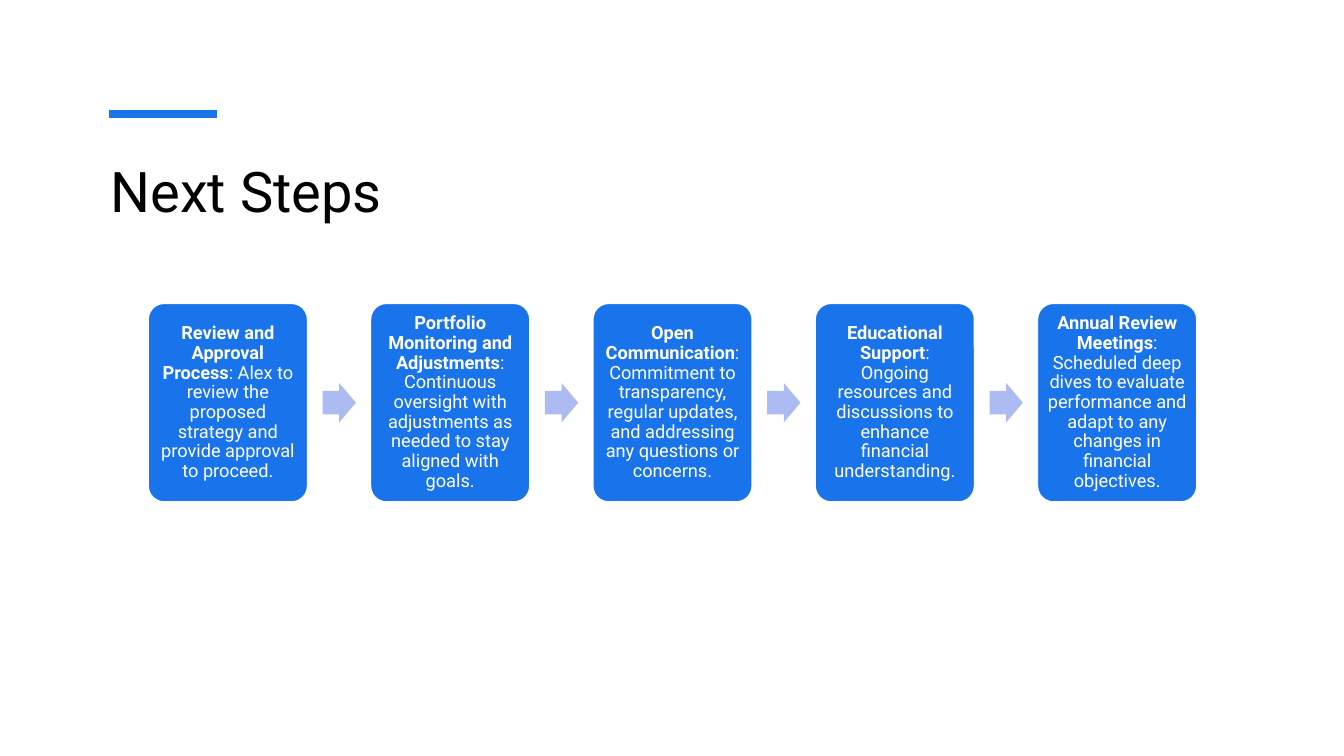
from pptx import Presentation
from pptx.dml.color import RGBColor
from pptx.enum.shapes import MSO_CONNECTOR, MSO_SHAPE
from pptx.enum.text import MSO_ANCHOR, PP_ALIGN
from pptx.oxml.ns import qn
from pptx.util import Inches, Pt
from lxml import etree

STRAIGHT = MSO_CONNECTOR.STRAIGHT
CARD = MSO_SHAPE.ROUNDED_RECTANGLE
ARROW = MSO_SHAPE.RIGHT_ARROW
TOP, MIDDLE = MSO_ANCHOR.TOP, MSO_ANCHOR.MIDDLE
CENTER = PP_ALIGN.CENTER

FONT = "Roboto"
COLORS = {"blue": "1973EB", "arrow": "ACBCF3", "white": "FFFFFF", "black": "000000"}
CARD_FRAME = {"word_wrap": True, "vertical_anchor": MIDDLE,
              "margin_left": Inches(0.05), "margin_right": Inches(0.05),
              "margin_top": Inches(0.05), "margin_bottom": Inches(0.05)}
TITLE_FRAME = {"word_wrap": True, "vertical_anchor": TOP}

STEPS = [
    ("Review and Approval Process",
     ": Alex to review the proposed strategy and provide approval to proceed."),
    ("Portfolio Monitoring and Adjustments",
     ": Continuous oversight with adjustments as needed to stay aligned with goals."),
    ("Open Communication",
     ": Commitment to transparency, regular updates, and addressing any questions or concerns."),
    ("Educational Support",
     ": Ongoing resources and discussions to enhance financial understanding."),
    ("Annual Review Meetings",
     ": Scheduled deep dives to evaluate performance and adapt to any changes in "
     "financial objectives."),
]


def color(name):
    return RGBColor.from_string(COLORS[name])


def set_all(target, values):
    for name, value in values.items():
        setattr(target, name, value)


def add_run(paragraph, text, size, color_name, bold=False):
    run = paragraph.add_run()
    run.text = text
    set_all(run.font, {"name": FONT, "size": Pt(size), "bold": bold})
    run.font.color.rgb = color(color_name)


def add_filled(slide, kind, box, fill, adjustments):
    shape = slide.shapes.add_shape(kind, *map(Inches, box))
    shape.shadow.inherit = False
    shape.fill.solid()
    shape.fill.fore_color.rgb = color(fill)
    for i, value in enumerate(adjustments):
        shape.adjustments[i] = value
    return shape


def add_header(slide, left, top, width, height):
    # Accent bar above the title
    bar_left, bar_y = left + 0.08, top - 0.37
    bar = slide.shapes.add_connector(
        STRAIGHT, Inches(bar_left), Inches(bar_y), Inches(bar_left + 1.07), Inches(bar_y))
    bar.line.color.rgb = color("blue")
    bar.line.width = Pt(6)
    etree.SubElement(bar.line._get_or_add_ln().getparent(), qn("a:effectLst"))

    # Title
    title = slide.shapes.add_textbox(*map(Inches, (left, top, width, height)))
    set_all(title.text_frame, TITLE_FRAME)
    add_run(title.text_frame.paragraphs[0], "Next Steps", 40, "black")


def add_step(slide, left, top, width, height, heading, detail):
    card = add_filled(slide, CARD, (left, top, width, height), "blue", [0.1])
    card.line.color.rgb = color("white")
    card.line.width = Pt(1)
    set_all(card.text_frame, CARD_FRAME)
    paragraph = card.text_frame.paragraphs[0]
    set_all(paragraph, {"alignment": CENTER, "line_spacing": 0.9})
    add_run(paragraph, heading, 13, "white", bold=True)
    add_run(paragraph, detail, 13, "white")


def add_process(slide, left, top, width, height):
    card_width, arrow_width, arrow_height = 1.58, 0.33, 0.39
    pitch = (width - card_width) / (len(STEPS) - 1)
    arrow_top = top + (height - arrow_height) / 2
    for i, (heading, detail) in enumerate(STEPS):
        card_left = left + i * pitch
        add_step(slide, card_left, top, card_width, height, heading, detail)
        # Arrow to the next step
        if i < len(STEPS) - 1:
            arrow_left = card_left + card_width + 0.15
            arrow = add_filled(slide, ARROW, (arrow_left, arrow_top, arrow_width, arrow_height),
                               "arrow", [0.6, 0.5])
            arrow.line.fill.background()


def main():
    prs = Presentation()
    prs.slide_width, prs.slide_height = Inches(13.33), Inches(7.5)
    slide = prs.slides.add_slide(prs.slide_layouts[6])
    add_header(slide, 1, 1.5, 11.33, 1.3)
    add_process(slide, 1.47, 3.01, 10.4, 1.97)
    prs.save("out.pptx")


if __name__ == "__main__":
    main()
